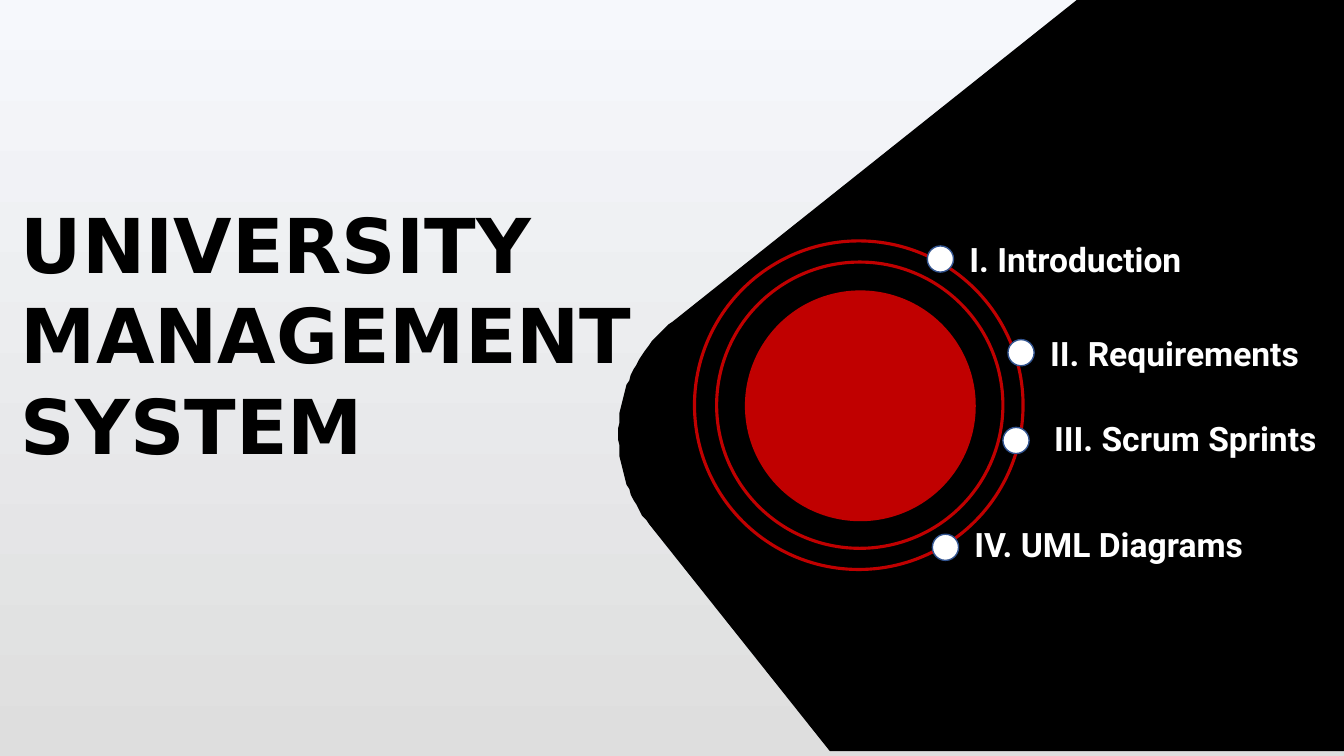
import pptx
import pptx.dml.color
import pptx.enum.shapes
import pptx.enum.text
import pptx.util

Pt = pptx.util.Pt

COLORS = {
    "black": "000000",
    "white": "FFFFFF",
    "red": "C00000",
    "navy": "325490",
    "sky": "F6F8FC",
    "fog": "DEDEDE",
}

TITLE = {"name": "DejaVu Sans", "size": Pt(54), "bold": True}
TOPIC = {"name": "Roboto", "size": Pt(24), "bold": True}

# Topic wording, text box (left, top, width), dot (left, top)
TOPICS = [
    ("I. Introduction", (685.4, 167, 183.6), (662.4, 175.7)),
    ("II. Requirements", (743, 234, 211), (720, 242.6)),
    ("III. Scrum Sprints", (745.9, 295.2, 213.8), (716.4, 305.3)),
    ("IV. UML Diagrams", (689, 370.8, 213.8), (666, 381.6)),
]
DOT = 18.7


def rgb(color):
    return pptx.dml.color.RGBColor.from_string(COLORS[color])


def bezier(start, control1, control2, end, steps=40):
    """Return the points of a cubic curve, without its start."""
    points = []
    for step in range(1, steps + 1):
        t = step / steps
        u = 1 - t
        points.append(tuple(
            u ** 3 * a + 3 * u * u * t * b + 3 * u * t * t * c + t ** 3 * d
            for a, b, c, d in zip(start, control1, control2, end)))
    return points


class SlideBuilder:
    def __init__(self, page):
        self.page = page

    def background(self, top, bottom):
        fill = self.page.background.fill
        fill.gradient()
        fill.gradient_angle = 270
        for stop, color in zip(fill.gradient_stops, (top, bottom)):
            stop.color.rgb = rgb(color)

    def paint(self, shape, fill=None, line=None, weight=1):
        """Set fill and outline; None leaves that part empty."""
        shape.shadow.inherit = False
        if fill:
            shape.fill.solid()
            shape.fill.fore_color.rgb = rgb(fill)
        else:
            shape.fill.background()
        if line:
            shape.line.color.rgb = rgb(line)
            shape.line.width = Pt(weight)
        else:
            shape.line.fill.background()

    def circle(self, left, top, size, group=None, **style):
        shapes = (group or self.page).shapes
        shape = shapes.add_shape(
            pptx.enum.shapes.MSO_SHAPE.OVAL,
            Pt(left), Pt(top), Pt(size), Pt(size))
        self.paint(shape, **style)

    def outline(self, points, **style):
        pen = self.page.shapes.build_freeform(*points[0], scale=Pt(1))
        pen.add_line_segments(points[1:], close=True)
        self.paint(pen.convert_to_shape(), **style)

    def text(self, words, left, top, width, height, color, formats):
        box = self.page.shapes.add_textbox(
            Pt(left), Pt(top), Pt(width), Pt(height))
        frame = box.text_frame
        frame.word_wrap = True
        frame.auto_size = pptx.enum.text.MSO_AUTO_SIZE.SHAPE_TO_FIT_TEXT
        span = frame.paragraphs[0].add_run()
        span.text = words
        span.font.color.rgb = rgb(color)
        for name, value in formats.items():
            setattr(span.font, name, value)


def main():
    deck = pptx.Presentation()
    deck.slide_width, deck.slide_height = Pt(960), Pt(540)
    builder = SlideBuilder(deck.slides.add_slide(deck.slide_layouts[6]))

    builder.background("sky", "fog")
    builder.text("UNIVERSITY MANAGEMENT SYSTEM", 7.9, 137.5, 478, 201.6,
                 "black", TITLE)

    corner = (464.4, 374.4)
    panel = [(775.4, -3.6), (960, -3.6), (960, 536.4), (593.3, 536.4), corner]
    panel += bezier(corner, (429.1, 329.8), (437, 265), (481, 229.7))
    builder.outline(panel, fill="black", line="black")

    target = builder.page.shapes.add_group_shape()
    builder.circle(532.1, 207.4, 164.9, target, fill="red")
    for left, top, size in [(511.9, 187.2, 204.5), (496.1, 172.1, 234.7)]:
        builder.circle(left, top, size, target, line="red", weight=2.25)

    for words, (left, top, width), dot in TOPICS:
        builder.text(words, left, top, width, 36, "white", TOPIC)
        builder.circle(*dot, DOT, fill="white", line="navy")

    deck.save("out.pptx")


if __name__ == "__main__":
    main()
